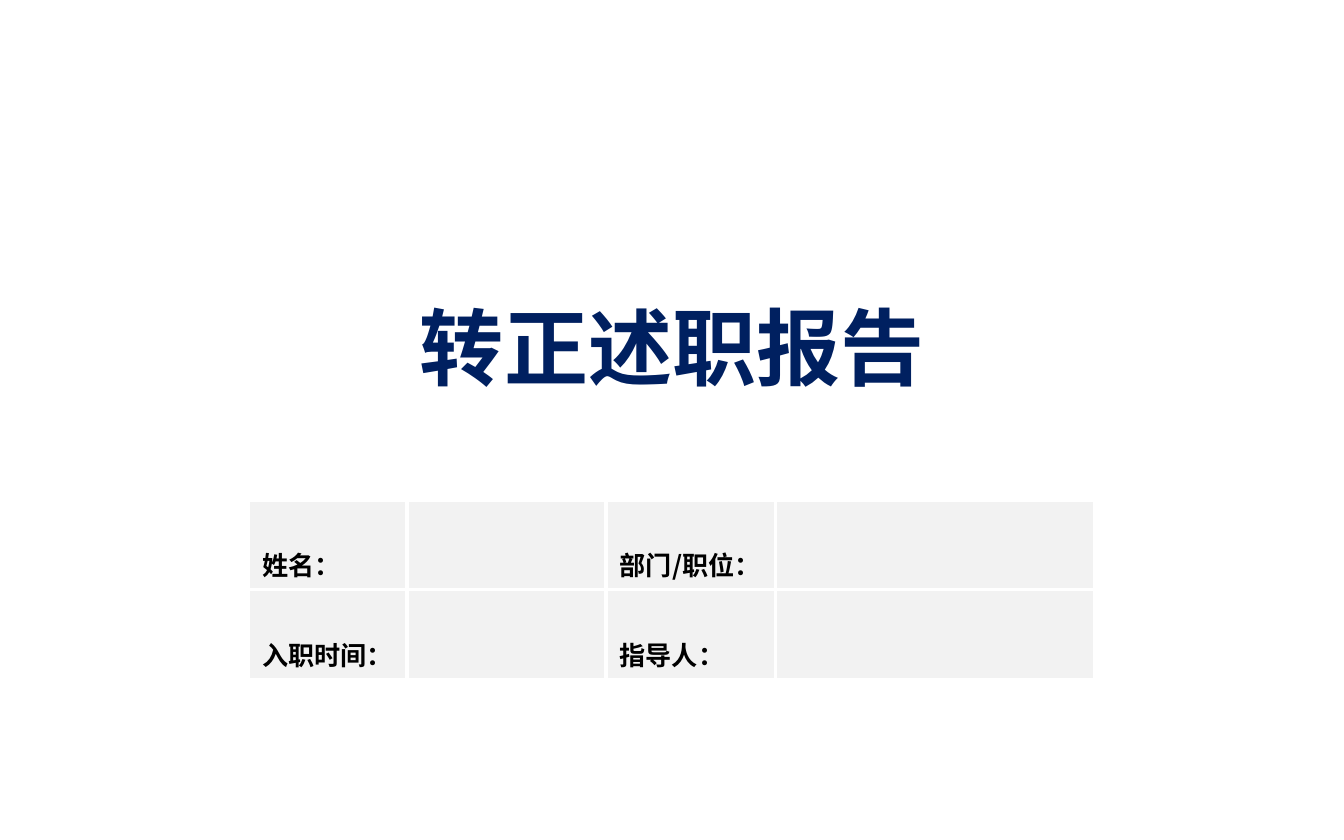
import dataclasses

import lxml.etree
import pptx
import pptx.dml.color
import pptx.enum.lang
import pptx.enum.text
import pptx.oxml.ns
import pptx.util

Inches = pptx.util.Inches
Pt = pptx.util.Pt
Color = pptx.dml.color.RGBColor


@dataclasses.dataclass(frozen=True)
class Theme:
    font: str = "Noto Sans CJK SC"
    white: str = "FFFFFF"
    navy: str = "002060"
    black: str = "000000"
    grey: str = "F2F2F2"
    title_size: float = 45
    label_size: float = 14
    border_width: float = 2.25


@dataclasses.dataclass(frozen=True)
class Field:
    row: int
    column: int
    label: str


THEME = Theme()
COLUMN_WIDTHS = (1.18, 1.48, 1.26, 2.38)
ROW_HEIGHT = 0.41
ROW_COUNT = 2
FIELDS = (
    Field(0, 0, "姓名："),
    Field(0, 2, "部门/职位："),
    Field(1, 0, "入职时间："),
    Field(1, 2, "指导人："),
)


def write_text(frame, text: str, *, size: float, color: str,
               align=None, line_spacing: float = 1.0) -> None:
    frame.vertical_anchor = pptx.enum.text.MSO_ANCHOR.MIDDLE
    para = frame.paragraphs[0]
    para.alignment = align
    para.line_spacing = line_spacing
    span = para.add_run()
    span.text = text
    span.font.name = THEME.font
    span.font.size = Pt(size)
    span.font.bold = True
    span.font.color.rgb = Color.from_string(color)
    span.font.language_id = pptx.enum.lang.MSO_LANGUAGE_ID.SIMPLIFIED_CHINESE
    properties = span.font._element
    east_asian = lxml.etree.SubElement(properties, pptx.oxml.ns.qn("a:ea"))
    east_asian.set("typeface", THEME.font)


def draw_borders(cell) -> None:
    properties = cell._tc.get_or_add_tcPr()
    for index, side in enumerate(("a:lnL", "a:lnR", "a:lnT", "a:lnB")):
        line = lxml.etree.Element(pptx.oxml.ns.qn(side), w=str(Pt(THEME.border_width)))
        fill = lxml.etree.SubElement(line, pptx.oxml.ns.qn("a:solidFill"))
        lxml.etree.SubElement(fill, pptx.oxml.ns.qn("a:srgbClr"), val=THEME.white)
        properties.insert(index, line)


def add_title(page) -> None:
    title = page.shapes.title
    title.left, title.top = Inches(0.75), Inches(1.69)
    title.width, title.height = Inches(8.5), Inches(1.76)
    title.fill.solid()
    title.fill.fore_color.rgb = Color.from_string(THEME.white)
    write_text(title.text_frame, "转正述职报告", size=THEME.title_size,
               color=THEME.navy, align=pptx.enum.text.PP_ALIGN.CENTER)


def add_details(page) -> None:
    table = page.shapes.add_table(
        ROW_COUNT, len(COLUMN_WIDTHS), Inches(1.85), Inches(3.72),
        Inches(sum(COLUMN_WIDTHS)), Inches(ROW_HEIGHT * ROW_COUNT)).table
    table.first_row = False
    table.horz_banding = False
    for column, width in zip(table.columns, COLUMN_WIDTHS):
        column.width = Inches(width)
    for row in table.rows:
        row.height = Inches(ROW_HEIGHT)
    for cell in table.iter_cells():
        cell.fill.solid()
        cell.fill.fore_color.rgb = Color.from_string(THEME.grey)
        draw_borders(cell)
    for field in FIELDS:
        cell = table.cell(field.row, field.column)
        cell.vertical_anchor = pptx.enum.text.MSO_ANCHOR.MIDDLE
        write_text(cell.text_frame, field.label, size=THEME.label_size,
                   color=THEME.black, line_spacing=2.0)


def main() -> None:
    deck = pptx.Presentation()
    deck.slide_width, deck.slide_height = Inches(10), Inches(6.25)
    page = deck.slides.add_slide(deck.slide_layouts[0])
    page.background.fill.solid()
    page.background.fill.fore_color.rgb = Color.from_string(THEME.white)
    subtitle = page.placeholders[1]._element
    subtitle.getparent().remove(subtitle)
    add_title(page)
    add_details(page)
    deck.save("out.pptx")


main()
